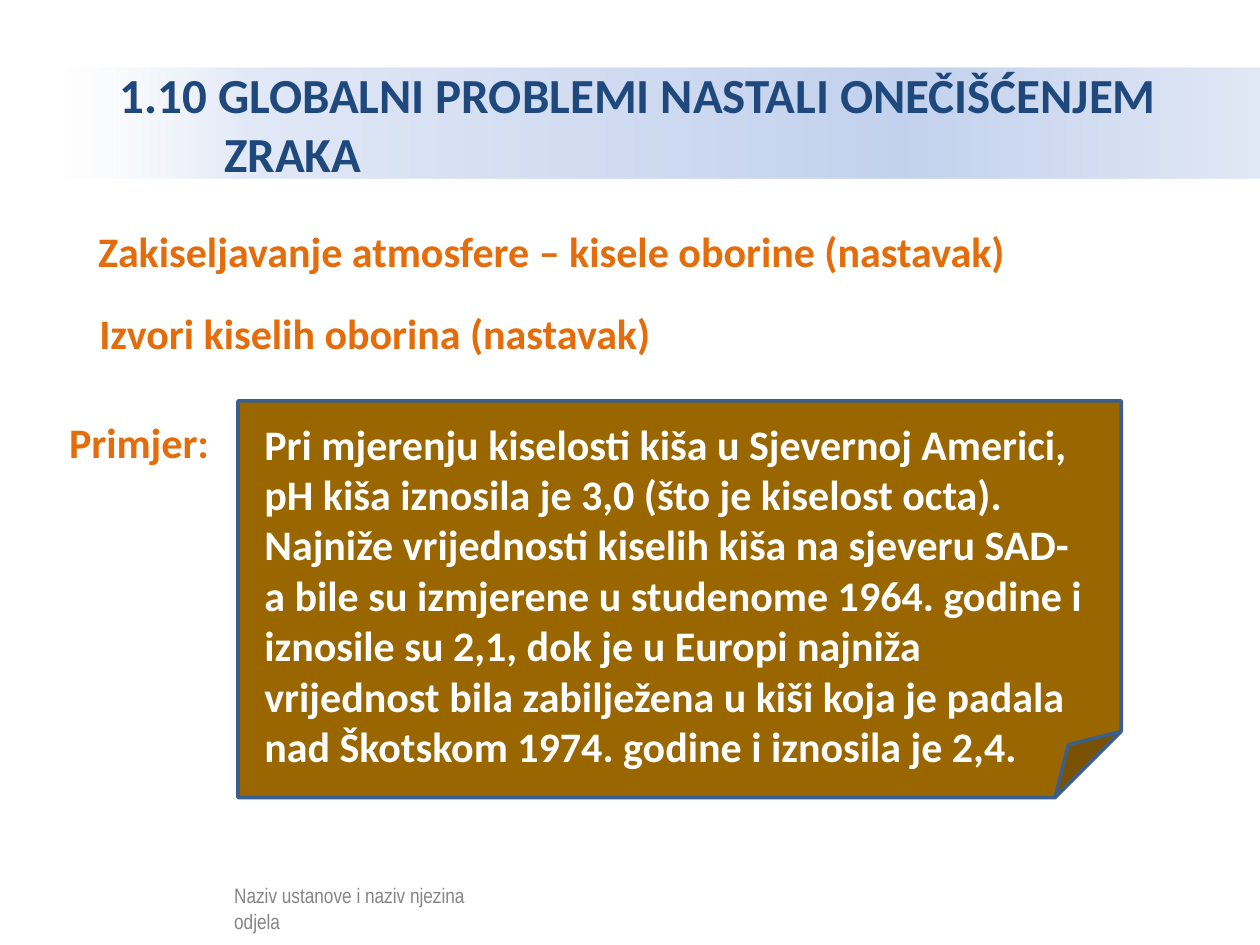
from lxml.etree import SubElement as Sub
from pptx import Presentation as Deck
from pptx.dml.color import RGBColor as Rgb
from pptx.enum.shapes import MSO_SHAPE as Kind
from pptx.enum.text import MSO_ANCHOR as Anchor, PP_ALIGN as Align
from pptx.oxml.ns import qn
from pptx.util import Pt

WHITE, ORANGE, NAVY = "FFFFFF", "E46C0A", "1F497D"
STOPS = [(0, WHITE, 52), (16, "E1E8F6", 100), (70, "C2D1ED", 100), (100, "E1E8F5", 100)]
HEADS = [
    (49, 125.3, 671, "Zakiseljavanje atmosfere – kisele oborine (nastavak)"),
    (49.7, 172, 391, "Izvori kiselih oborina (nastavak)"),
    (32.4, 234.7, 102, "Primjer:"),
]
STORY = (
    "Pri mjerenju kiselosti kiša u Sjevernoj Americi, pH kiša iznosila je 3,0 "
    "(što je kiselost octa). Najniže vrijednosti kiselih kiša na sjeveru SAD-a "
    "bile su izmjerene u studenome 1964. godine i iznosile su 2,1, dok je u "
    "Europi najniža vrijednost bila zabilježena u kiši koja je padala nad "
    "Škotskom 1974. godine i iznosila je 2,4."
)


def tint(code):
    """Turn a hex string into a colour."""
    return Rgb.from_string(code)


def fade(node, share):
    """Give a colour node its opacity in percent."""
    if share < 100:
        Sub(node, qn("a:alpha"), val=str(share * 1000))


def block(slide, box, fill, kind=Kind.RECTANGLE, share=100, line=None):
    """Add a preset shape with a solid fill."""
    shape = slide.shapes.add_shape(kind, *map(Pt, box))
    shape.shadow.inherit = False
    shape.fill.solid()
    shape.fill.fore_color.rgb = tint(fill)
    fade(shape._element.spPr.find(".//" + qn("a:srgbClr")), share)
    if line:
        shape.line.color.rgb = tint(line)
        shape.line.width = Pt(2)
    else:
        shape.line.fill.background()
    return shape


def blend(shape, stops):
    """Fill a shape from left to right with the given stops."""
    shape.fill.gradient()
    shape.fill.gradient_angle = 0
    group = shape._element.spPr.find(".//" + qn("a:gsLst"))
    for old in list(group):
        group.remove(old)
    for place, code, share in stops:
        stop = Sub(group, qn("a:gs"), pos=str(place * 1000))
        fade(Sub(stop, qn("a:srgbClr"), val=code), share)


def write(shape, text, code, size=24, name="Calibri", bold=True, anchor=Anchor.TOP):
    """Set the wrapped, left-aligned text of a shape."""
    frame = shape.text_frame
    frame.word_wrap = True
    frame.vertical_anchor = anchor
    par = frame.paragraphs[0]
    par.alignment = Align.LEFT
    run = par.add_run()
    run.text = text
    for key, value in {"size": Pt(size), "name": name, "bold": bold}.items():
        setattr(run.font, key, value)
    run.font.color.rgb = tint(code)
    return par


def label(slide, box, text, code, **form):
    """Add a text box."""
    write(slide.shapes.add_textbox(*map(Pt, box)), text, code, **form)


def title(slide):
    """Add the title band with its hanging indent."""
    band = block(slide, (36, 38.6, 684, 63.6), WHITE)
    blend(band, STOPS)
    par = write(band, "1.10 GLOBALNI PROBLEMI NASTALI ONEČIŠĆENJEM ZRAKA",
                NAVY, size=28, anchor=Anchor.MIDDLE)
    for key, value in {"marL": 85, "indent": -59.7}.items():
        par._p.get_or_add_pPr().set(key, str(Pt(value)))


def main():
    """Build the slide and save it."""
    deck = Deck()
    deck.slide_width, deck.slide_height = Pt(720), Pt(540)
    slide = deck.slides.add_slide(deck.slide_layouts[6])
    label(slide, (126.7, 501, 150.5, 18), "Naziv ustanove i naziv njezina odjela",
          "000000", size=12, name="Arial Narrow", bold=False)
    block(slide, (29.5, 499, 275, 34.6), WHITE, share=52)
    title(slide)
    for left, top, width, text in HEADS:
        label(slide, (left, top, width, 36), text, ORANGE)
    block(slide, (136, 229, 504.7, 226.8), "996600", Kind.FOLDED_CORNER, line="3A5F8C")
    label(slide, (144, 235.4, 481.7, 211), STORY, WHITE)
    deck.save("out.pptx")


if __name__ == "__main__":
    main()
